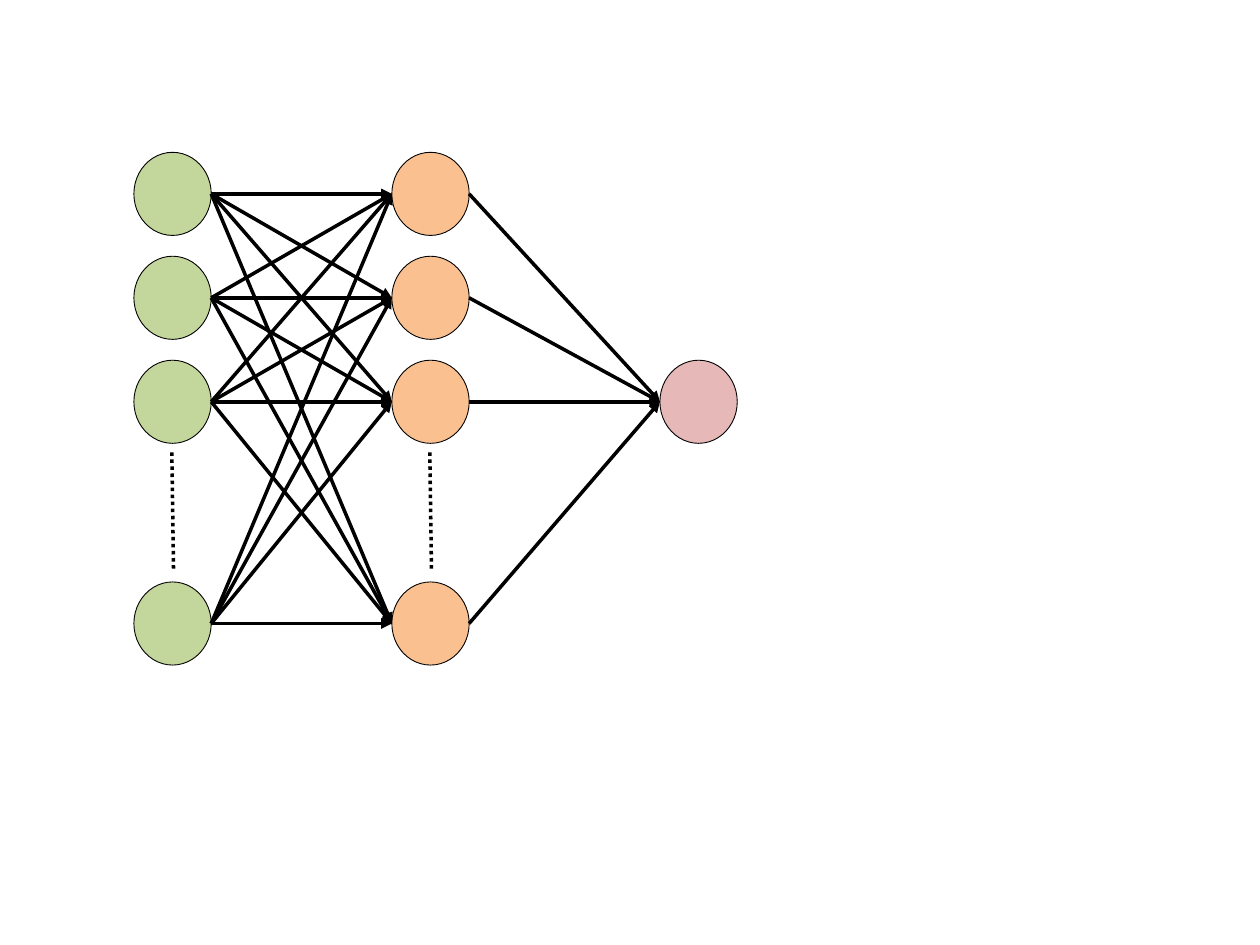
"""Build a slide with a fully connected neural network diagram."""
from itertools import product

from lxml.etree import SubElement
from pptx import Presentation
from pptx.dml.color import RGBColor
from pptx.enum.dml import MSO_LINE
from pptx.enum.shapes import MSO_CONNECTOR, MSO_SHAPE
from pptx.oxml.ns import qn
from pptx.util import Pt


def paint(fill, shade):
    fill.solid()
    fill.fore_color.rgb = RGBColor.from_string(shade)


def link(start, end, style, arrow=False):
    ends = [Pt(v) for v in (*start, *end)]
    wire = shapes.add_connector(MSO_CONNECTOR.STRAIGHT, *ends)
    paint(wire.line.fill, "000000")
    for key, value in style.items():
        setattr(wire.line, key, value)
    if arrow:
        SubElement(wire.line._get_or_add_ln(), qn("a:tailEnd"), type="triangle")
    SubElement(wire._element.spPr, qn("a:effectLst"))


deck = Presentation()
deck.slide_width, deck.slide_height = Pt(720), Pt(540)
shapes = deck.slides.add_slide(deck.slide_layouts[6]).shapes

wide, high = 44.2, 47.5
rows = [110.8, 170.2, 229.6, 356.3]
layers = [
    (76.5, rows, "C3D69B"),
    (223.9, rows, "FAC090"),
    (377.1, rows[2:3], "E6B9B8"),
]
solid = {"width": Pt(2)}
dotted = {"width": Pt(2), "dash_style": MSO_LINE.ROUND_DOT}

for left, mids, shade in layers:
    for mid in mids:
        box = [Pt(v) for v in (left, mid - high / 2, wide, high)]
        node = shapes.add_shape(MSO_SHAPE.OVAL, *box)
        node.shadow.inherit = False
        paint(node.fill, shade)
        paint(node.line.fill, "000000")
        node.line.width = Pt(0.5)

for (left, mids, _), (right, goals, _) in zip(layers, layers[1:]):
    for mid, goal in product(mids, goals):
        link((left + wide, mid), (right, goal), solid, arrow=True)
    core = left + wide / 2
    link((core - 0.4, 258.5), (core + 0.6, 326.9), dotted)

deck.save("out.pptx")
